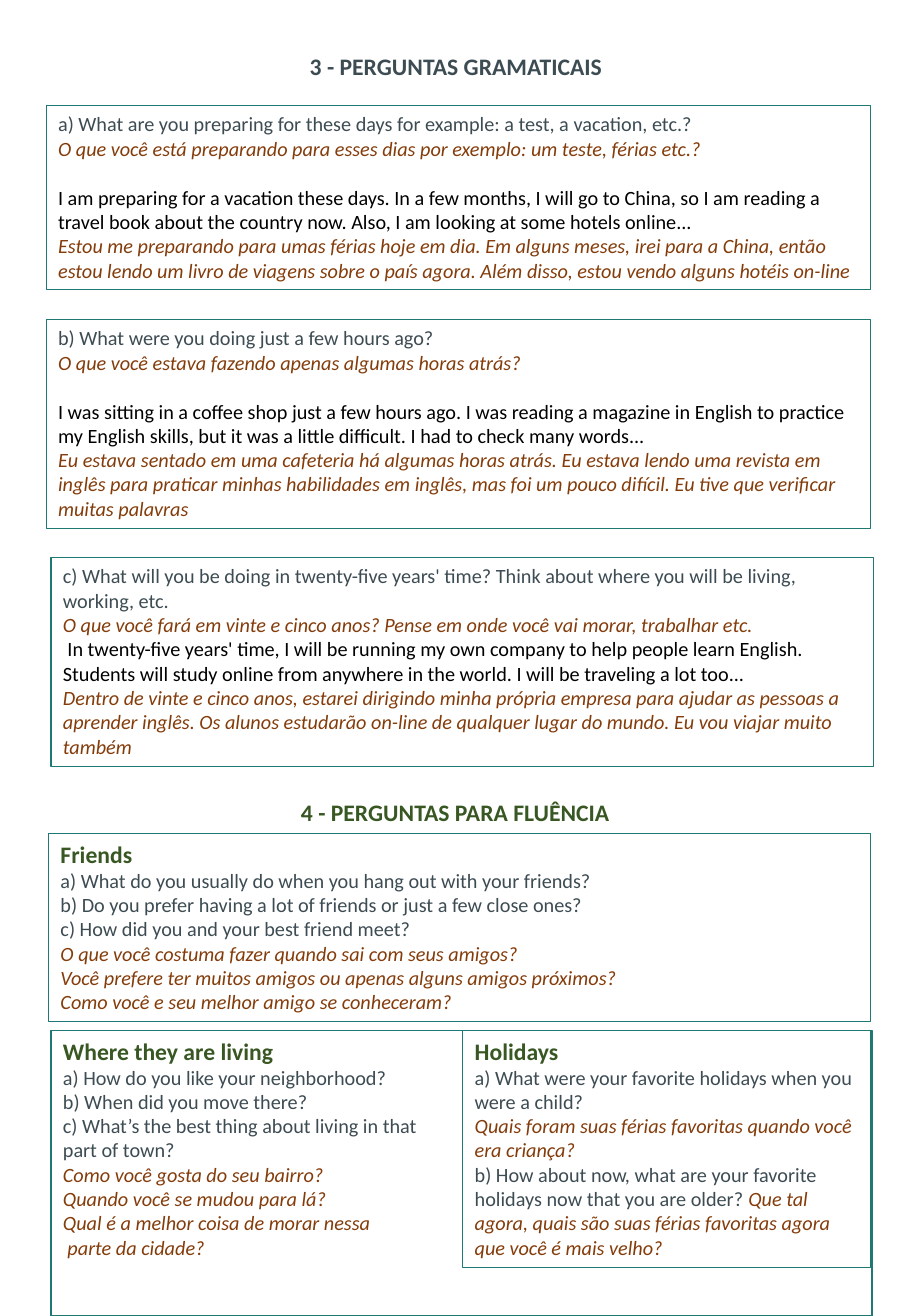
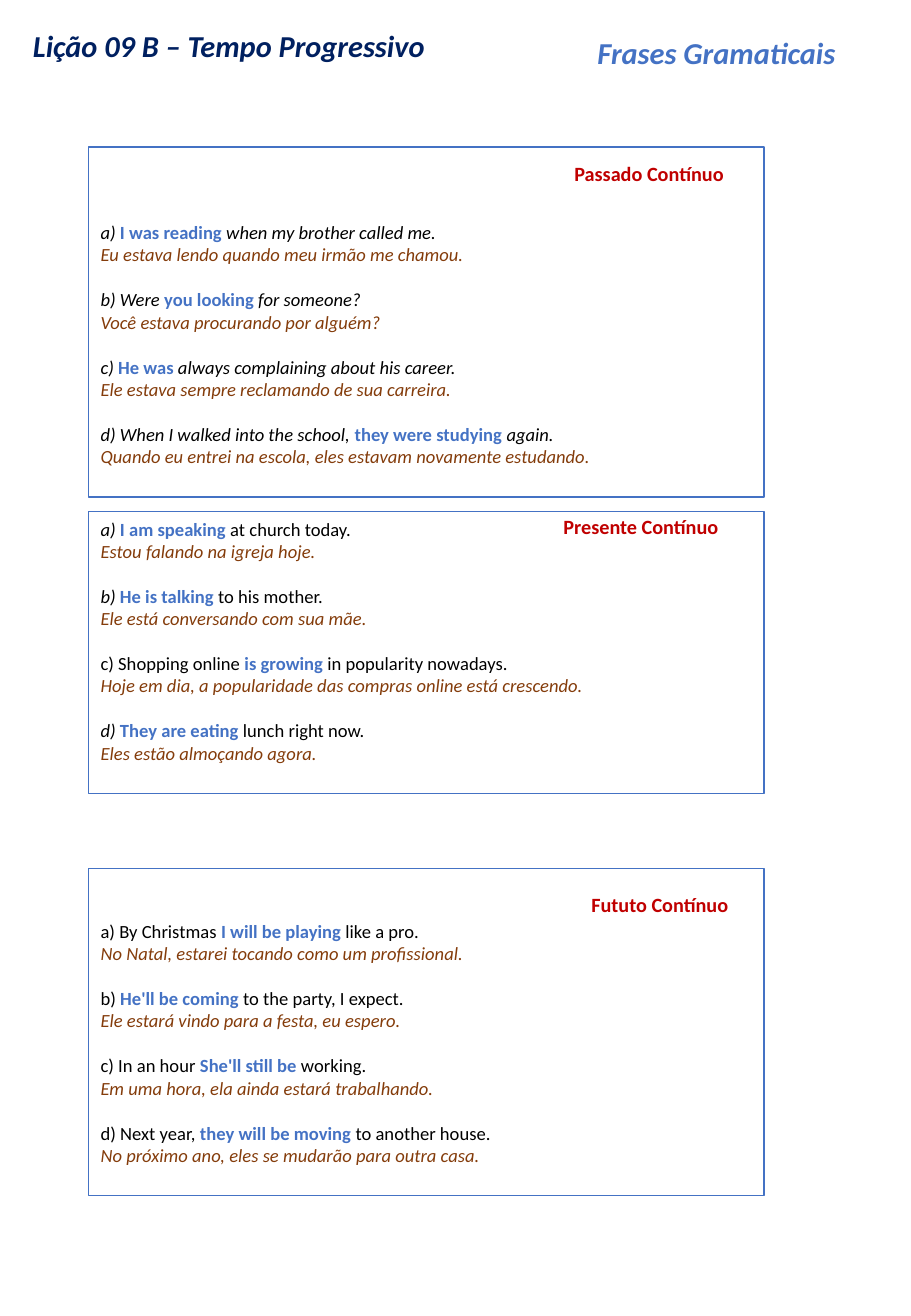
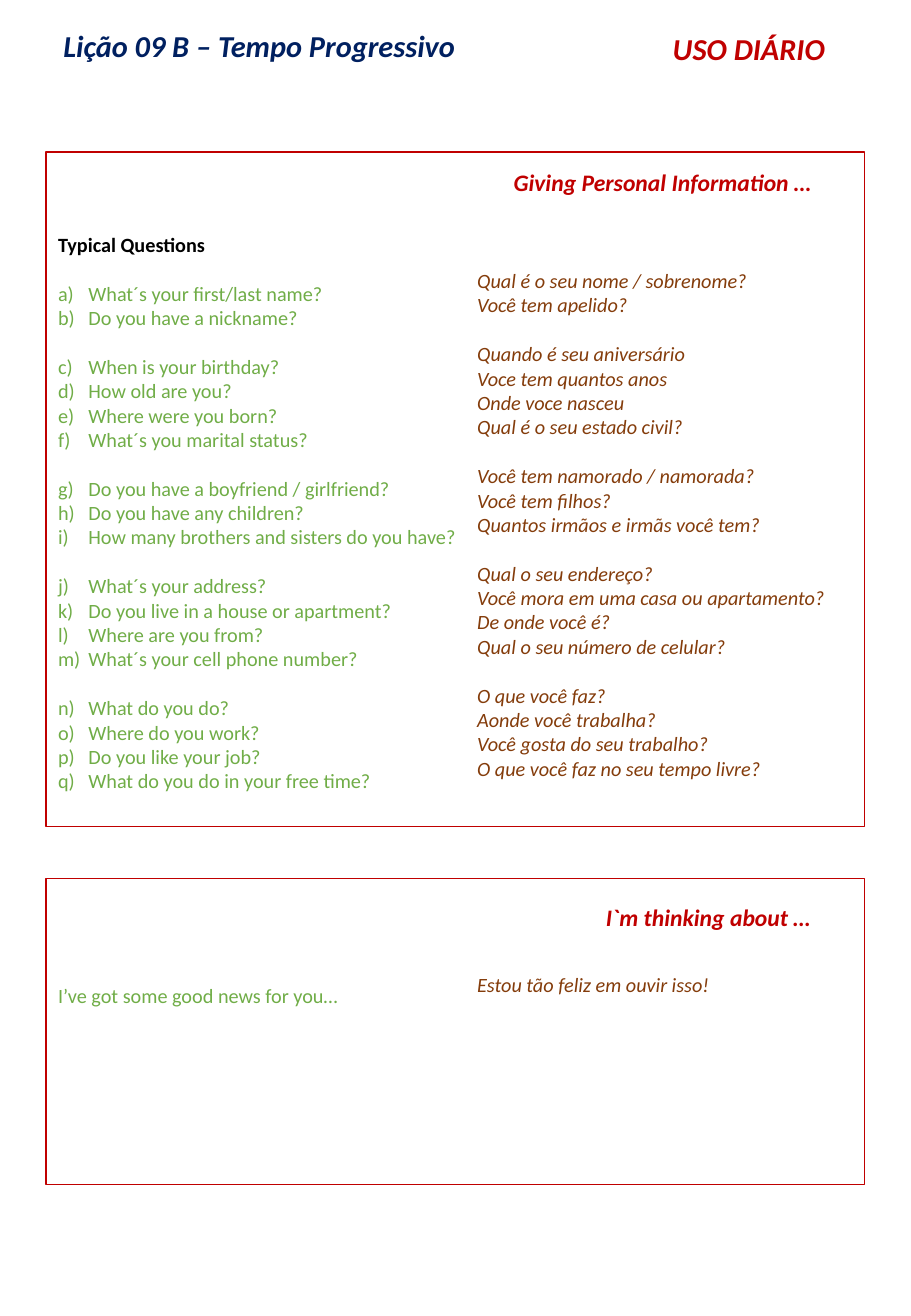
from pptx import Presentation
from pptx.dml.color import RGBColor
from pptx.enum.shapes import MSO_SHAPE
from pptx.enum.text import MSO_ANCHOR, MSO_AUTO_SIZE, PP_ALIGN
from pptx.oxml.ns import qn
from pptx.util import Inches, Pt
from lxml import etree

RECT = MSO_SHAPE.RECTANGLE
TOP = MSO_ANCHOR.TOP
FIXED = MSO_AUTO_SIZE.NONE
LEFT, CENTER = PP_ALIGN.LEFT, PP_ALIGN.CENTER

FONT = "Calibri"
LEAD = 1.22  # line height as a share of the font size
TEAL, BLUE, RED = "1F7872", "4472C4", "C00000"
SLATE, BROWN, BLACK = "3D4C53", "843C0B", "000000"
FOREST, GREEN, NAVY = "385723", "70AD47", "002060"

# style: colour, bold, italic
LOOKS = {
    "ask": (SLATE, False, False),
    "pt": (BROWN, False, True),
    "say": (BLACK, False, False),
    "lean": (BLACK, False, True),
    "bold": (BLACK, True, False),
    "key": (BLUE, True, False),
    "item": (GREEN, False, False),
    "slate": (SLATE, True, False),
    "topic": (FOREST, True, False),
    "tense": (RED, True, False),
    "lesson": (NAVY, True, True),
    "blue": (BLUE, True, True),
    "red": (RED, True, True),
}
TOPIC = 14
LESSON = "Lição 09 B – Tempo Progressivo"

deck = Presentation()
deck.slide_width, deck.slide_height = Inches(7.5), Inches(10.83)


def write(slide, paras, place, line=None, size=12, inset=0.05, wrap=True,
          align=LEFT, title=False):
    """Add a text; a para is (style, text, style, text, ...), None is a gap."""
    spot = [Inches(n) for n in place]
    if title:
        shape = slide.shapes.title
        shape.left, shape.top, shape.width, shape.height = spot
    elif line:
        shape = slide.shapes.add_shape(RECT, *spot)
        shape.shadow.inherit = False
        shape.fill.background()
        shape.line.color.rgb = RGBColor.from_string(line)
        shape.line.width = Pt(0.75)
    else:
        shape = slide.shapes.add_textbox(*spot)
    frame = shape.text_frame
    frame.auto_size = FIXED
    frame.word_wrap = wrap
    frame.vertical_anchor = TOP
    frame.margin_left = frame.margin_right = Inches(0.1)
    frame.margin_top, frame.margin_bottom = Inches(inset), Inches(0.05)
    gap, par = False, None
    for para in paras:
        if para is None:
            gap = True
            continue
        par = frame.add_paragraph() if par else frame.paragraphs[0]
        par.alignment = align
        if gap:
            par.space_before = Pt(round(size * LEAD, 1))
        gap = False
        if para[0] == "item":
            props = par._p.get_or_add_pPr()
            props.set("marL", str(Inches(0.25)))
            props.set("indent", str(-Inches(0.25)))
            etree.SubElement(props, qn("a:buFont"), typeface="+mj-lt")
            etree.SubElement(props, qn("a:buAutoNum"), type="alphaLcParenR")
        for style, text in zip(para[::2], para[1::2]):
            run = par.add_run()
            run.text = text
            color, bold, lean = LOOKS[style.removesuffix("-plain")]
            font = run.font
            font.name, font.bold, font.italic = FONT, bold, lean
            font.size = Pt(TOPIC if style == "topic" else size)
            font.color.rgb = RGBColor.from_string(color)


def page(style, text, place, size=18, align=CENTER):
    """Add a slide with its title."""
    slide = deck.slides.add_slide(deck.slide_layouts[5])
    write(slide, [(style, text)], place, size=size, wrap=False, align=align,
          title=True)
    return slide


# Grammar and fluency questions
slide = page("slate", "3 - PERGUNTAS GRAMATICAIS", (2.45, 0.38, 2.63, 0.34),
             TOPIC, LEFT)
write(slide, [("topic", "4 - PERGUNTAS PARA FLUÊNCIA")],
      (2.38, 6.52, 2.76, 0.34), wrap=False)
cards = [
    ((0.4, 6.86, 6.77, 1.55), [
        ("topic", "Friends"),
        ("ask", "a) What do you usually do when you hang out with your friends?"),
        ("ask", "b) Do you prefer having a lot of friends or just a few close ones?"),
        ("ask", "c) How did you and your best friend meet?"),
        ("pt", "O que você costuma fazer quando sai com seus amigos?"),
        ("pt", "Você prefere ter muitos amigos ou apenas alguns amigos próximos?"),
        ("pt", "Como você e seu melhor amigo se conheceram?"),
    ]),
    ((0.42, 8.48, 6.76, 2.35), [
        ("topic", "Where they are living"),
        ("ask", "a) How do you like your neighborhood?"),
        ("ask", "b) When did you move there?"),
        ("ask", "c) What’s the best thing about living in that"),
        ("ask", "part of town?"),
        ("pt", "Como você gosta do seu bairro?"),
        ("pt", "Quando você se mudou para lá?"),
        ("pt", "Qual é a melhor coisa de morar nessa"),
        ("pt", " parte da cidade?"),
    ]),
    ((3.81, 8.48, 3.36, 1.95), [
        ("topic", "Holidays"),
        ("ask", "a) What were your favorite holidays when you were a child?"),
        ("pt", "Quais foram suas férias favoritas quando você era criança?"),
        ("ask", "b) How about now, what are your favorite holidays now that you "
                "are older? ",
         "pt", "Que tal agora, quais são suas férias favoritas agora que você é "
               "mais velho?"),
    ]),
    ((0.38, 0.87, 6.79, 1.51), [
        ("ask", "a) What are you preparing for these days for example: a test, a "
                "vacation, etc.?"),
        ("pt", "O que você está preparando para esses dias por exemplo: um teste, "
               "férias etc.?"),
        None,
        ("say", "I am preparing for a vacation these days. In a few months, I will "
                "go to China, so I am reading a travel book about the country now. "
                "Also, I am looking at some hotels online..."),
        ("pt", "Estou me preparando para umas férias hoje em dia. Em alguns meses, "
               "irei para a China, então estou lendo um livro de viagens sobre o "
               "país agora. Além disso, estou vendo alguns hotéis on-line"),
    ]),
    ((0.38, 2.63, 6.79, 1.72), [
        ("ask", "b) What were you doing just a few hours ago?"),
        ("pt", "O que você estava fazendo apenas algumas horas atrás?"),
        None,
        ("say", "I was sitting in a coffee shop just a few hours ago. I was reading "
                "a magazine in English to practice my English skills, but it was a "
                "little difficult. I had to check many words..."),
        ("pt", "Eu estava sentado em uma cafeteria há algumas horas atrás. Eu "
               "estava lendo uma revista em inglês para praticar minhas habilidades "
               "em inglês, mas foi um pouco difícil. Eu tive que verificar muitas "
               "palavras"),
    ]),
    ((0.42, 4.59, 6.77, 1.72), [
        ("ask", "c) What will you be doing in twenty-five years' time? Think about "
                "where you will be living, working, etc."),
        ("pt", "O que você fará em vinte e cinco anos? Pense em onde você vai "
               "morar, trabalhar etc."),
        ("say", " In twenty-five years' time, I will be running my own company to "
                "help people learn English. Students will study online from "
                "anywhere in the world. I will be traveling a lot too..."),
        ("pt", "Dentro de vinte e cinco anos, estarei dirigindo minha própria "
               "empresa para ajudar as pessoas a aprender inglês. Os alunos "
               "estudarão on-line de qualquer lugar do mundo. Eu vou viajar muito "
               "também"),
    ]),
]
for place, paras in cards:
    write(slide, paras, place, line=TEAL)

# Grammar sentences
slide = page("lesson", LESSON, (0.15, 0.17, 3.47, 0.71))
write(slide, [("blue", "Frases Gramaticais")], (4.82, 0.23, 2.6, 0.4), size=18)
# tense, its place, box top, box height, blank lines on top, tail style, rows
tenses = [
    ("Passado Contínuo", (4.63, 1.28, 1.48, 0.3), 1.21, 2.88, 3, "lean", [
        ("lean", "a) ", "I was reading ", "when my brother called me.",
         "Eu estava lendo quando meu irmão me chamou."),
        ("lean", "b) Were ", "you looking", " for someone?",
         "Você estava procurando por alguém?"),
        ("lean", "c) ", "He was", " always complaining about his career.",
         "Ele estava sempre reclamando de sua carreira."),
        ("lean", "d) When I walked into the school, ", "they were studying ",
         "again.",
         "Quando eu entrei na escola, eles estavam novamente estudando."),
    ]),
    ("Presente Contínuo", (4.54, 4.18, 1.5, 0.3), 4.21, 2.32, 0, "say", [
        ("lean", "a) ", "I am speaking", " at church today.",
         "Estou falando na igreja hoje."),
        ("lean", "b) ", "He is talking ", "to his mother.",
         "Ele está conversando com sua mãe."),
        ("say", "c) Shopping online", " is growing ", "in popularity nowadays.",
         "Hoje em dia, a popularidade das compras online está crescendo."),
        ("lean", "d) ", "They are eating", " lunch right now.",
         "Eles estão almoçando agora."),
    ]),
    ("Fututo Contínuo", (4.77, 7.29, 1.34, 0.3), 7.15, 2.69, 2, "say", [
        ("say", "a) By Christmas ", "I will be playing", " like a pro.",
         "No Natal, estarei tocando como um profissional."),
        ("say", "b) ", "He'll be coming ", "to the party, I expect.",
         "Ele estará vindo para a festa, eu espero."),
        ("say", "c) In an hour ", "She'll still be", " working.",
         "Em uma hora, ela ainda estará trabalhando."),
        ("say", "d) Next year, ", "they will be moving", " to another house.",
         "No próximo ano, eles se mudarão para outra casa."),
    ]),
]
for tense, place, top, height, blank, tail, rows in tenses:
    paras = []
    for style, lead, verb, rest, gloss in rows:
        paras += [(style, lead, "key", verb, tail, rest), ("pt", gloss), None]
    write(slide, paras, (0.73, top, 5.56, height), line=BLUE, size=11,
          inset=round(0.05 + blank * 11 * LEAD / 72, 2))
    write(slide, [("tense", tense)], place, wrap=False)

# Daily use
slide = page("lesson", LESSON, (0.4, 0.17, 3.47, 0.4))
write(slide, [("red", "USO DIÁRIO")], (5.44, 0.2, 2, 0.4), size=18)
groups = [
    [("What´s your first/last name?", "Qual é o seu nome / sobrenome?"),
     ("Do you have a nickname?", "Você tem apelido?")],
    [("When is your birthday?", "Quando é seu aniversário"),
     ("How old are you?", "Voce tem quantos anos"),
     ("Where were you born?", "Onde voce nasceu"),
     ("What´s you marital status?", "Qual é o seu estado civil?")],
    [("Do you have a boyfriend / girlfriend?", "Você tem namorado / namorada?"),
     ("Do you have any children?", "Você tem filhos?"),
     ("How many brothers and sisters do you have?",
      "Quantos irmãos e irmãs você tem?")],
    [("What´s your address?", "Qual o seu endereço?"),
     ("Do you live in a house or apartment?",
      "Você mora em uma casa ou apartamento?"),
     ("Where are you from?", "De onde você é?"),
     ("What´s your cell phone number?", "Qual o seu número de celular?")],
    [("What do you do?", "O que você faz?"),
     ("Where do you work?", "Aonde você trabalha?"),
     ("Do you like your job?", "Você gosta do seu trabalho?"),
     ("What do you do in your free time?", "O que você faz no seu tempo livre?")],
]
asks, gloss = [("bold", "Typical Questions")], []
for group in groups:
    asks += [None] + [("item", ask) for ask, _ in group]
    gloss += [None] * bool(gloss) + [("pt", text) for _, text in group]
news = [("item-plain", "I’ve got some good news for you…")]
happy = [("pt", "Estou tão feliz em ouvir isso!")]
# box top, height, top inset, text, head, its place, translation, its place
parts = [
    (1.25, 5.55, 0.66, asks, "Giving Personal Information …",
     (4.13, 1.33, 2.76, 0.57), gloss, (3.83, 2.16, 3.11, 4.34)),
    (7.23, 2.52, 0.86, news, "I`m thinking about …",
     (4.89, 7.38, 2.01, 0.57), happy, (3.83, 7.95, 3, 0.5)),
]
for top, height, inset, text, head, spot, other, place in parts:
    write(slide, text, (0.38, top, 6.74, height), line=RED, inset=inset)
    write(slide, [("red", head)], spot, size=TOPIC, wrap=False)
    write(slide, other, place)

deck.save("out.pptx")
